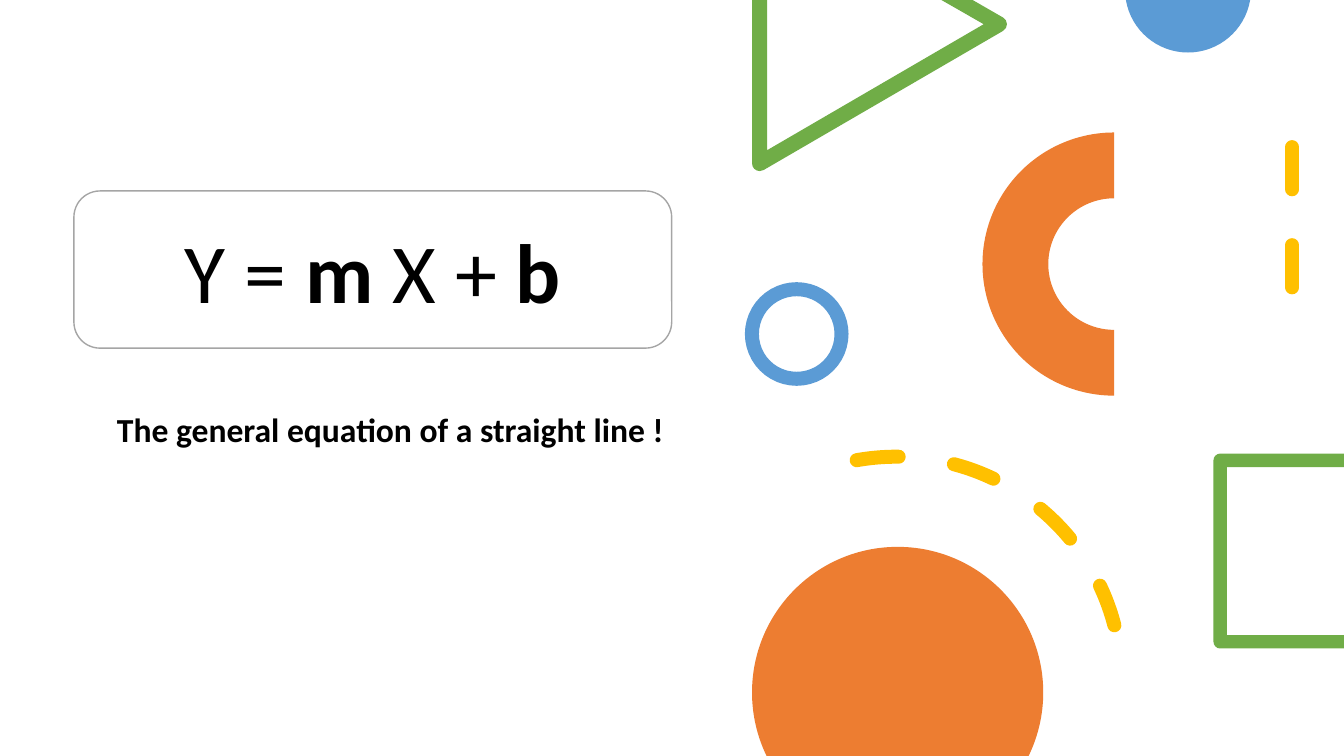
import math
from dataclasses import dataclass
from typing import Optional

import pptx
import pptx.dml.color
import pptx.enum.dml
import pptx.enum.shapes
import pptx.enum.text
import pptx.oxml.ns
import pptx.util
from lxml import etree

Pt = pptx.util.Pt
qn = pptx.oxml.ns.qn
SHAPE = pptx.enum.shapes.MSO_SHAPE
ALIGN = pptx.enum.text.PP_ALIGN
ANCHOR = pptx.enum.text.MSO_ANCHOR

WIDTH, HEIGHT = 960, 540
STROKE = 10
COLORS = {
    "black": "000000", "white": "FFFFFF", "gray": "A5A5A5", "blue": "5B9BD5",
    "orange": "ED7D31", "green": "70AD47", "yellow": "FFC000",
}
Point = tuple[float, float]
Step = tuple[Point, ...]  # one point for a line, three for a curve


@dataclass
class Preset:
    kind: int
    left: float
    top: float
    width: float
    height: float
    fill: Optional[str] = None
    line: Optional[str] = None
    line_width: float = STROKE
    rotation: float = 0
    dashed: bool = False


@dataclass
class Outline:
    steps: list[Step]
    fill: str


def color(name: str) -> pptx.dml.color.RGBColor:
    return pptx.dml.color.RGBColor.from_string(COLORS[name])


def corners(*points: Point) -> list[Step]:
    return [(point,) for point in points]


def arc(x: float, y: float, radius: float, start: float, end: float) -> list[Step]:
    """Curves along a circle, split at each quarter; degrees, clockwise from the right."""
    def at(angle: float, reach: float = 0) -> Point:
        cosine, sine = math.cos(math.radians(angle)), math.sin(math.radians(angle))
        return x + radius * (cosine - reach * sine), y + radius * (sine + reach * cosine)

    low, high = min(start, end), max(start, end)
    quarters = [a for a in range(-360, 721, 90) if low < a < high]
    angles = sorted([start, *quarters, end], reverse=end < start)
    steps: list[Step] = [(at(start),)]
    for first, last in zip(angles, angles[1:]):
        reach = 4 / 3 * math.tan(math.radians(last - first) / 4)
        steps.append((at(first, reach), at(last, -reach), at(last)))
    return steps


def set_dashes(shape) -> None:
    shape.line.dash_style = pptx.enum.dml.MSO_LINE.DASH
    shape.element.spPr.find(qn("a:ln")).set("cap", "rnd")


def format_shape(shape, fill: Optional[str], line: Optional[str], line_width: float) -> None:
    shape.shadow.inherit = False
    if fill:
        shape.fill.solid()
        shape.fill.fore_color.rgb = color(fill)
    else:
        shape.fill.background()
    if line:
        shape.line.color.rgb = color(line)
        shape.line.width = Pt(line_width)
    else:
        shape.line.fill.background()


def draw_preset(slide, item: Preset):
    shape = slide.shapes.add_shape(
        item.kind, Pt(item.left), Pt(item.top), Pt(item.width), Pt(item.height))
    format_shape(shape, item.fill, item.line, item.line_width)
    shape.rotation = item.rotation
    if item.dashed:
        set_dashes(shape)
    return shape


def draw_outline(slide, item: Outline) -> None:
    points = [(Pt(x), Pt(y)) for step in item.steps for x, y in step]
    builder = slide.shapes.build_freeform(*points[0], scale=1.0)
    builder.add_line_segments(points[1:], close=True)
    shape = builder.convert_to_shape()
    format_shape(shape, item.fill, None, 0)
    # Merge each three segments of a curve step into one Bézier
    segments = iter(list(shape.element.spPr.iter(qn("a:lnTo"))))
    for step in item.steps[1:]:
        parts = [next(segments) for _ in step]
        if len(parts) == 3:
            parts[0].tag = qn("a:cubicBezTo")
            for part in parts[1:]:
                parts[0].append(part[0])
                part.getparent().remove(part)


def draw_dashed_line(slide, x: float, top: float, bottom: float) -> None:
    line = slide.shapes.add_connector(
        pptx.enum.shapes.MSO_CONNECTOR.STRAIGHT, Pt(x), Pt(top), Pt(x), Pt(bottom))
    line.line.color.rgb = color("yellow")
    line.line.width = Pt(STROKE)
    set_dashes(line)
    etree.SubElement(line.element.spPr, qn("a:effectLst"))


def add_text(paragraph, text: str, *, size: float, bold: bool = False) -> None:
    run = paragraph.add_run()
    run.text = text
    run.font.name = "Calibri"
    run.font.size = Pt(size)
    run.font.bold = bold
    run.font.color.rgb = color("black")


# Discs cut by the slide edge: the angle where each circle meets it
blue_cut = math.degrees(math.asin(7.5 / 45))
orange_cut = math.degrees(math.asin((HEIGHT - 494.6) / 104))

BLUE_DISC = Outline(arc(848.6, -7.5, 45, blue_cut, 180 - blue_cut), "blue")
TRIANGLE = Outline([
    *corners((537.2, 0), (548, 0), (548, 107.3), (702.7, 17.3), (672.5, 0), (694.8, 0)),
    *arc(713.8, 17.3, 5.5, -60, 60), *arc(542.7, 116.7, 5.5, 60, 180)], "green")
SQUARE = Outline([
    *corners((WIDTH, 324)),
    *arc(871.6, 328.8, 4.8, 270, 180), *arc(871.6, 458.4, 4.8, 180, 90),
    *corners((WIDTH, 463.2), (WIDTH, 453.6), (876.4, 453.6), (876.4, 333.6),
             (WIDTH, 333.6))], "green")
ORANGE_DISC = Outline(arc(641.2, 494.6, 104, 180 - orange_cut, 360 + orange_cut), "orange")

RING = Preset(SHAPE.OVAL, 537.1, 206.6, 64, 64, line="blue")
HALF_RING = Preset(SHAPE.BLOCK_ARC, 701.8, 94.6, 188, 188, fill="orange", rotation=270)
DASHED_ARC = Preset(SHAPE.ARC, 479.2, 326.2, 322, 322, line="yellow",
                    rotation=349.9, dashed=True)
EQUATION_BOX = Preset(SHAPE.ROUNDED_RECTANGLE, 52.8, 136.4, 427, 112.3,
                      fill="white", line="gray", line_width=1)
EQUATION = [("Y = ", False), ("m", True), (" X + ", False), ("b", True)]


def main() -> None:
    presentation = pptx.Presentation()
    presentation.slide_width, presentation.slide_height = Pt(WIDTH), Pt(HEIGHT)
    slide = presentation.slides.add_slide(presentation.slide_layouts[0])

    # Subtitle; the unused title placeholder goes
    title = slide.shapes.title.element
    title.getparent().remove(title)
    subtitle = slide.placeholders[1]
    subtitle.left, subtitle.top = Pt(76.3), Pt(291.6)
    subtitle.width, subtitle.height = Pt(427), Pt(130.3)
    frame = subtitle.text_frame
    frame.word_wrap = True
    frame.auto_size = pptx.enum.text.MSO_AUTO_SIZE.NONE
    frame.vertical_anchor = ANCHOR.TOP
    paragraph = frame.paragraphs[0]
    paragraph.alignment = ALIGN.LEFT
    paragraph.line_spacing = 0.9
    paragraph.space_before = Pt(0)
    add_text(paragraph, "The general equation of a straight line !", size=24, bold=True)

    # Geometric decoration, back to front
    draw_outline(slide, BLUE_DISC)
    draw_preset(slide, RING)
    draw_preset(slide, HALF_RING)
    draw_outline(slide, TRIANGLE)
    draw_dashed_line(slide, 923, 105.1, 230.4)
    draw_outline(slide, SQUARE)
    draw_preset(slide, DASHED_ARC)
    draw_outline(slide, ORANGE_DISC)

    # Equation
    frame = draw_preset(slide, EQUATION_BOX).text_frame
    frame.vertical_anchor = ANCHOR.MIDDLE
    paragraph = frame.paragraphs[0]
    paragraph.alignment = ALIGN.CENTER
    for text, bold in EQUATION:
        add_text(paragraph, text, size=60, bold=bold)

    presentation.save("out.pptx")


if __name__ == "__main__":
    main()
